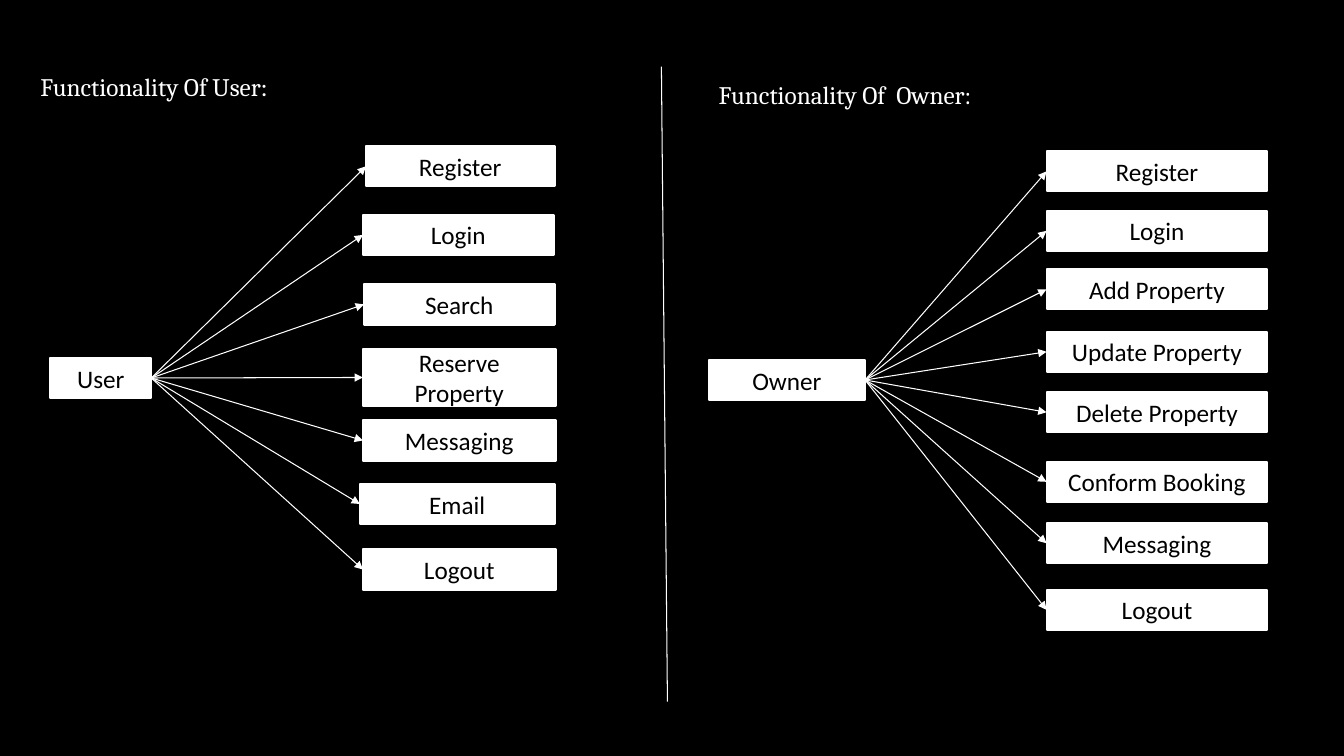
from pptx import Presentation
from pptx.dml.color import RGBColor
from pptx.enum.shapes import MSO_CONNECTOR, MSO_SHAPE
from pptx.enum.text import MSO_ANCHOR, MSO_AUTO_SIZE, PP_ALIGN
from pptx.oxml.ns import qn
from pptx.util import Pt
from lxml.etree import SubElement

SCALE = 9144  # EMU per px, 100 px to the inch
COLORS = {"back": "000000", "light": "FFFFFF", "dark": "000000"}
RIGHT, LEFT = 3, 1  # connection sites of a rectangle


def px(*vals):
    return [v * SCALE for v in vals]


def color(name):
    return RGBColor.from_string(COLORS[name])


class Board:
    size = Pt(18)
    head_font = "Cambria"
    body_font = "Calibri"

    def __init__(self, slide):
        self.slide = slide
        self.shapes = slide.shapes
        fill = slide.background.fill
        fill.solid()
        fill.fore_color.rgb = color("back")

    def run(self, para, text, font, tone):
        run = para.add_run()
        run.text = text
        run.font.size = self.size
        run.font.name = font
        run.font.color.rgb = color(tone)

    def heading(self, shape, area, parts, wrap):
        shape.left, shape.top, shape.width, shape.height = px(*area)
        frame = shape.text_frame
        frame.word_wrap = wrap
        frame.auto_size = MSO_AUTO_SIZE.SHAPE_TO_FIT_TEXT
        frame.vertical_anchor = MSO_ANCHOR.TOP
        para = frame.paragraphs[0]
        para.alignment = PP_ALIGN.LEFT
        for text, font in parts:
            self.run(para, text, font, "light")

    def box(self, text, area):
        box = self.shapes.add_shape(MSO_SHAPE.RECTANGLE, *px(*area))
        box.shadow.inherit = False
        box.fill.solid()
        box.fill.fore_color.rgb = color("light")
        box.line.color.rgb = color("light")
        box.line.width = Pt(1.5)
        frame = box.text_frame
        frame.word_wrap = True
        frame.vertical_anchor = MSO_ANCHOR.MIDDLE
        para = frame.paragraphs[0]
        para.alignment = PP_ALIGN.CENTER
        self.run(para, text, self.body_font, "dark")
        return box

    def line(self, *ends):
        line = self.shapes.add_connector(MSO_CONNECTOR.STRAIGHT, *px(*ends))
        line.line.color.rgb = color("light")
        line.line.width = Pt(0.75)
        SubElement(line._element.spPr, qn("a:effectLst"))
        return line

    def arrow(self, start, end):
        arrow = self.line(0, 0, 0, 0)
        arrow.begin_connect(start, RIGHT)
        arrow.end_connect(end, LEFT)
        stroke = arrow._element.spPr.find(qn("a:ln"))
        SubElement(stroke, qn("a:tailEnd"), type="triangle")

    def fan(self, role, area, tasks):
        hub = self.box(role, area)
        for text, *place in tasks:
            self.arrow(hub, self.box(text, place))


def main():
    deck = Presentation()
    deck.slide_width, deck.slide_height = px(1333, 750)
    board = Board(deck.slides.add_slide(deck.slide_layouts[5]))

    # Headings and divider
    board.line(656, 66, 662, 696)
    board.heading(board.shapes.title, (30, 66, 255, 40),
                  [("Functionality Of User", board.head_font),
                   (":", board.body_font)], False)
    area = (703, 74, 354, 40)
    note = board.shapes.add_textbox(*px(*area))
    board.heading(note, area,
                  [("Functionality Of  Owner:", board.head_font)], True)

    # User side
    board.fan("User", (50, 355, 100, 40), [
        ("Register", 363, 145, 187, 40),
        ("Login", 360, 213, 189, 40),
        ("Search", 361, 282, 189, 40),
        ("Reserve Property", 360, 346, 191, 57),
        ("Messaging", 360, 417, 191, 40),
        ("Email", 357, 480, 193, 40),
        ("Logout", 360, 545, 191, 40),
    ])

    # Owner side
    tasks = [("Register", 150), ("Login", 209), ("Add Property", 267),
             ("Update Property", 329), ("Delete Property", 389),
             ("Conform Booking", 458), ("Messaging", 519), ("Logout", 585)]
    board.fan("Owner", (703, 357, 155, 40),
              [(text, 1038, top, 219, 40) for text, top in tasks])

    deck.save("out.pptx")


if __name__ == "__main__":
    main()
